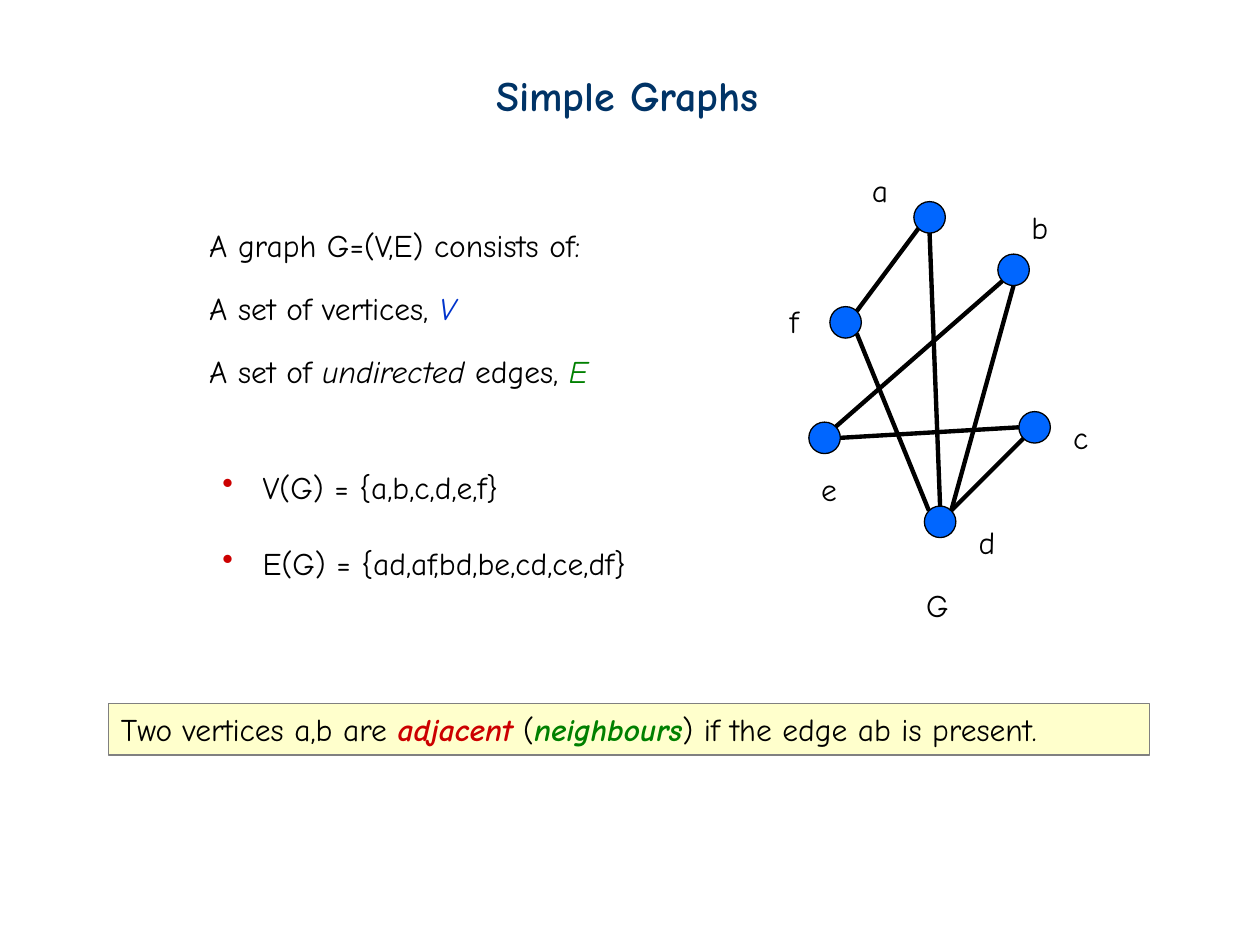
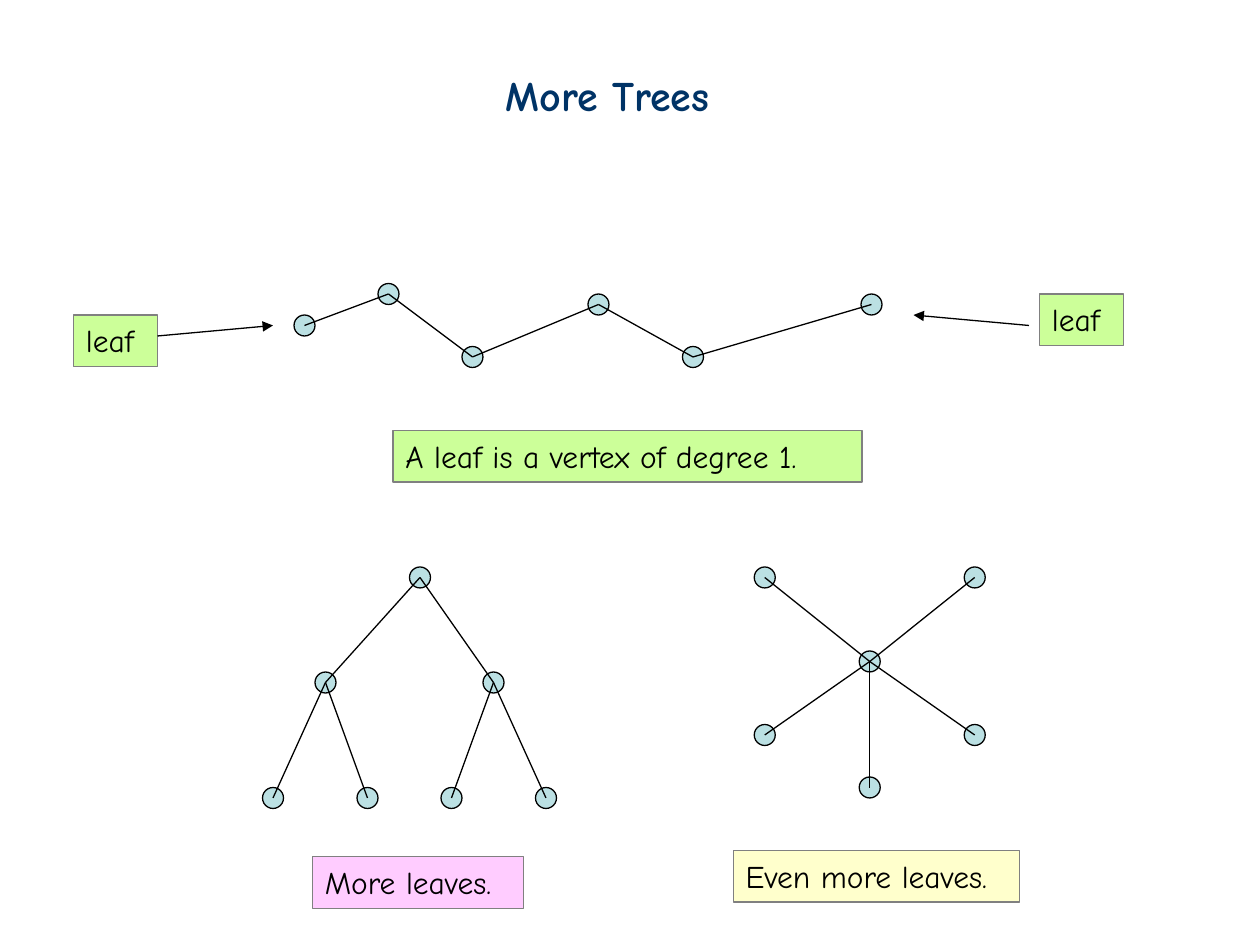
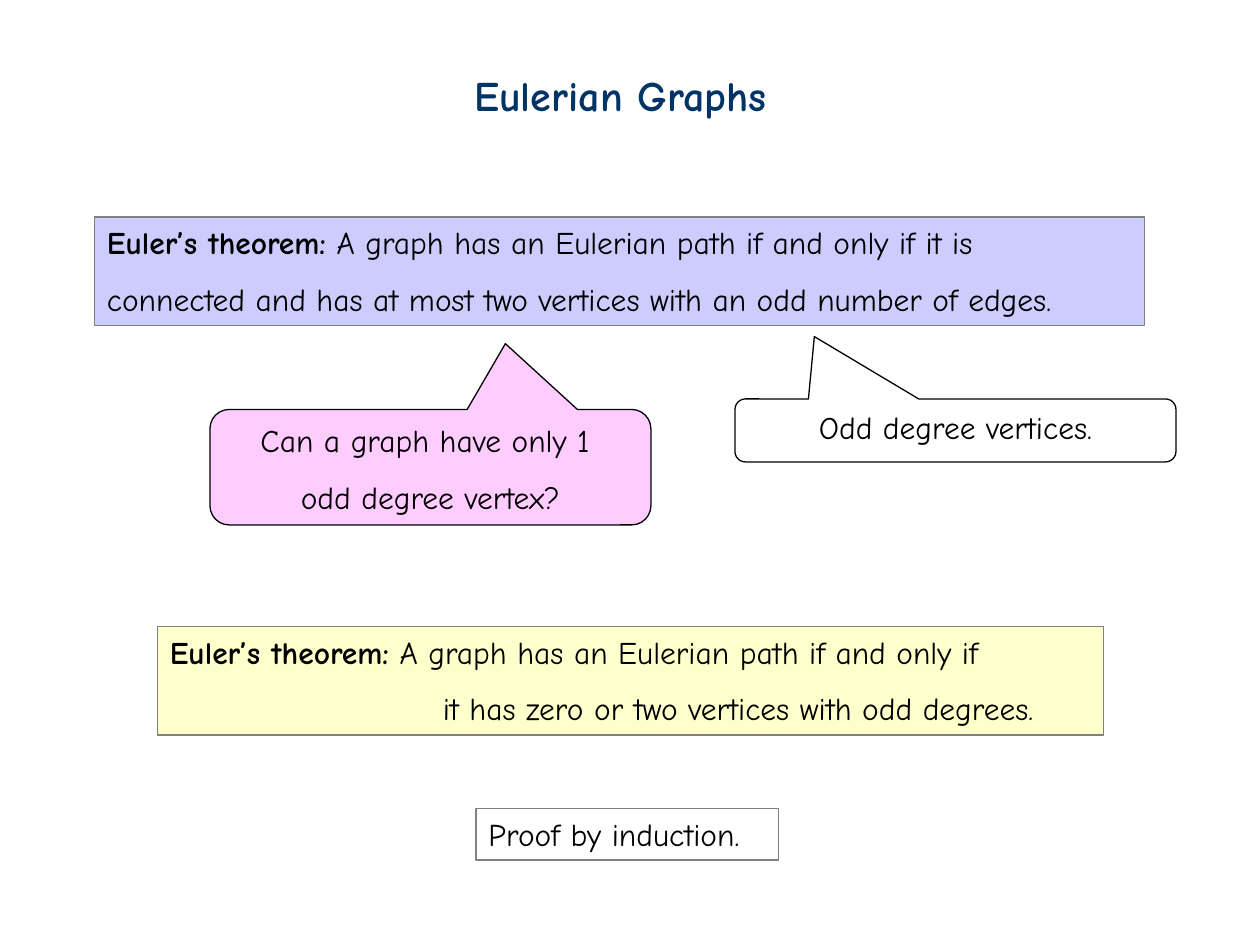
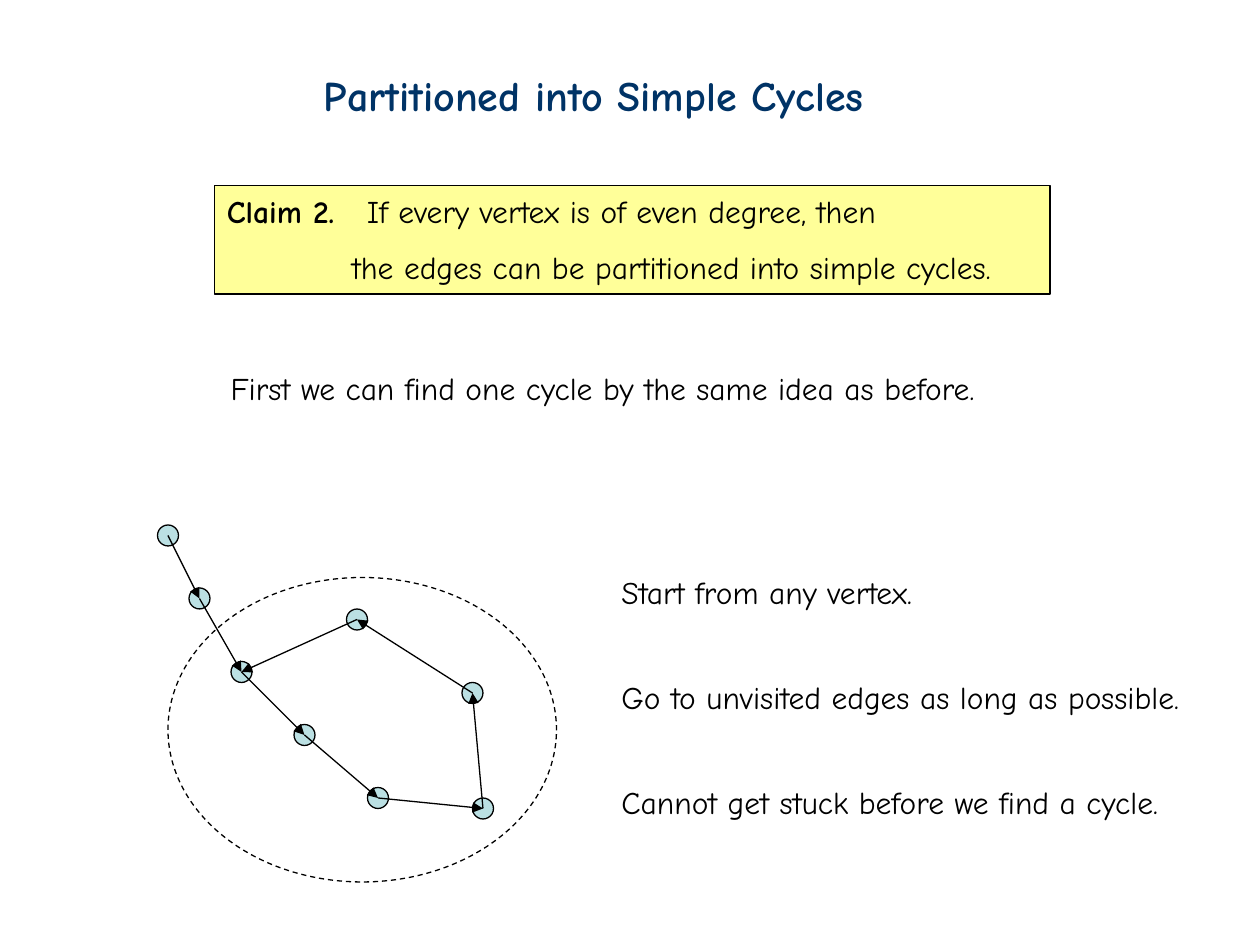
from dataclasses import dataclass
from itertools import pairwise

from lxml.etree import SubElement
from pptx import Presentation
from pptx.dml.color import RGBColor
from pptx.enum.dml import MSO_LINE
from pptx.enum.shapes import MSO_CONNECTOR, MSO_SHAPE
from pptx.enum.text import MSO_ANCHOR, PP_ALIGN
from pptx.oxml.ns import qn
from pptx.util import Pt


@dataclass(frozen=True)
class Theme:
    font: str = "Comic Neue"
    title_size: float = 24
    body_size: float = 18
    title: str = "003366"
    ink: str = "000000"
    border: str = "808080"
    red: str = "CC0000"
    green: str = "008000"
    blue: str = "0033CC"
    vertex: str = "0066FF"
    pale_vertex: str = "BBE0E3"
    cream: str = "FFFFCC"
    yellow: str = "FFFF99"
    lime: str = "CCFF99"
    pink: str = "FFCCFF"
    lilac: str = "CCCCFF"
    thin: float = 0.75
    thick: float = 2.5


T = Theme()


@dataclass
class Run:
    text: str
    color: str = T.ink
    bold: bool = False
    italic: bool = False
    size: float = T.body_size


@dataclass
class Para:
    runs: list
    spacing: float = 1.0
    before: float = 0
    margin: float = 0
    indent: float = 0
    tab: float = 0
    bullet: str = ""
    align: PP_ALIGN = PP_ALIGN.LEFT


DIAGONAL = 0.71
SITES = {
    "": (0, 0),
    "N": (0, -1), "S": (0, 1), "W": (-1, 0), "E": (1, 0),
    "NW": (-DIAGONAL, -DIAGONAL), "NE": (DIAGONAL, -DIAGONAL),
    "SW": (-DIAGONAL, DIAGONAL), "SE": (DIAGONAL, DIAGONAL),
}


def rgb(color):
    return RGBColor.from_string(color)


def format_para(p, para):
    p.alignment = para.align
    if para.spacing != 1:
        p.line_spacing = para.spacing
    if para.before:
        p.space_before = Pt(para.before)
    pPr = p._p.get_or_add_pPr()
    if para.margin or para.indent:
        pPr.set("marL", str(Pt(para.margin)))
        pPr.set("indent", str(Pt(para.indent)))
    if para.bullet:
        SubElement(SubElement(pPr, qn("a:buClr")), qn("a:srgbClr"), val=T.red)
        SubElement(pPr, qn("a:buChar"), char=para.bullet)
    if para.tab:
        tabs = SubElement(pPr, qn("a:tabLst"))
        SubElement(tabs, qn("a:tab"), pos=str(Pt(para.tab)), algn="l")


def write(sp, paras):
    tf = sp.text_frame
    tf.word_wrap = True
    tf.vertical_anchor = MSO_ANCHOR.TOP
    for i, para in enumerate(paras):
        p = tf.add_paragraph() if i else tf.paragraphs[0]
        format_para(p, para)
        for run in para.runs:
            r = p.add_run()
            r.text = run.text
            r.font.name = T.font
            r.font.size = Pt(run.size)
            r.font.bold = run.bold
            r.font.italic = run.italic
            r.font.color.rgb = rgb(run.color)


def text(s, box, *paras):
    write(s.shapes.add_textbox(*map(Pt, box)), paras)


def line_of(content):
    return Para([Run(content)])


def title(s, left, width, content):
    run = Run(content, T.title, bold=True, size=T.title_size)
    text(s, (left, 36, width, 36), Para([run]))


def shape(s, kind, box, fill=None, line=T.ink):
    sp = s.shapes.add_shape(kind, *map(Pt, box))
    sp.shadow.inherit = False
    if fill:
        sp.fill.solid()
        sp.fill.fore_color.rgb = rgb(fill)
    else:
        sp.fill.background()
    sp.line.color.rgb = rgb(line)
    sp.line.width = Pt(T.thin)
    return sp


def panel(s, box, fill, *paras, line=T.border):
    write(shape(s, MSO_SHAPE.RECTANGLE, box, fill, line), paras)


def note(s, left, top, width, fill, content):
    panel(s, (left, top, width, 29.5), fill, line_of(content))


def callout(s, box, fill, pointer, *paras):
    sp = shape(s, MSO_SHAPE.ROUNDED_RECTANGULAR_CALLOUT, box, fill)
    sp.adjustments[0], sp.adjustments[1] = pointer
    write(sp, paras)


def edge(s, start, end, width=T.thin, arrow=False):
    cx = s.shapes.add_connector(MSO_CONNECTOR.STRAIGHT, *map(Pt, (*start, *end)))
    cx.line.color.rgb = rgb(T.ink)
    cx.line.width = Pt(width)
    if arrow:
        SubElement(cx.line._get_or_add_ln(), qn("a:tailEnd"), type="triangle")
    SubElement(cx._element.spPr, qn("a:effectLst"))


def graph(s, origin, nodes, edges, size=12, fill=T.pale_vertex,
          width=T.thin, arrow=False):
    """Nodes map names to centres; an edge end is "name" or "name.SITE"."""
    left, top = origin

    def place(end):
        name, _, site = end.partition(".")
        (x, y), (dx, dy) = nodes[name], SITES[site]
        return left + x + dx * size / 2, top + y + dy * size / 2

    for name in nodes:
        x, y = place(name)
        shape(s, MSO_SHAPE.OVAL, (x - size / 2, y - size / 2, size, size), fill)
    for start, end in edges:
        edge(s, place(start), place(end), width, arrow)


def labelled_graph(s, left, top):
    nodes = {"a": (69, 9), "b": (117, 39), "c": (129, 129),
             "d": (75, 183), "e": (9, 135), "f": (21, 69)}
    edges = [("e.NE", "b.SW"), ("e.E", "c.W"), ("f.NE", "a.SW"),
             ("d.NE", "b.S"), ("d.NE", "c.SW"), ("d.N", "a.S"),
             ("f.SE", "d.NW")]
    labels = {"a": (29, -21), "b": (120, 0), "c": (144, 120), "d": (90, 180),
              "e": (0, 150), "f": (-18, 54), "G": (60, 216)}
    graph(s, (left, top), nodes, edges, 18, T.vertex, T.thick)
    for name, (x, y) in labels.items():
        text(s, (left + x, top + y, 26, 29), line_of(name))


def path_tree(s, left, top):
    centres = [(6, 24), (54, 6), (102, 42), (174, 12), (228, 42), (330, 12)]
    nodes = dict(zip("abcdef", centres))
    graph(s, (left, top), nodes, pairwise(nodes))
    note(s, left - 126, top + 18, 48, T.lime, "leaf")
    note(s, left + 426, top + 6, 48, T.lime, "leaf")
    edge(s, (left - 78, top + 30), (left - 12, top + 24), arrow=True)
    edge(s, (left + 420, top + 24), (left + 354, top + 18), arrow=True)


def binary_tree(s, left, top):
    nodes = {"root": (90, 6), "l": (36, 66), "r": (132, 66)}
    nodes |= {leaf: (x, 132) for leaf, x in
              zip(("ll", "lr", "rl", "rr"), (6, 60, 108, 162))}
    edges = [(name[:-1] or "root", name) for name in nodes if name != "root"]
    graph(s, (left, top), nodes, edges)


def star_tree(s, left, top):
    nodes = {"hub": (66, 54), "nw": (6, 6), "ne": (126, 6),
             "sw": (6, 96), "s": (66, 126), "se": (126, 96)}
    graph(s, (left, top), nodes,
          [("hub", name) for name in nodes if name != "hub"])


def cycle_walk(s, left, top):
    centres = [(6, 6), (24, 42), (48, 84), (84, 120),
               (126, 156), (186, 162), (180, 96), (114, 54)]
    nodes = dict(zip("abcdefgh", centres))
    graph(s, (left, top), nodes, [*pairwise(nodes), ("h", "c")], arrow=True)
    ring = shape(s, MSO_SHAPE.OVAL, (left + 6, top + 30, 222, 174))
    ring.line.dash_style = MSO_LINE.DASH


def simple_graphs(s):
    title(s, 276.5, 179, "Simple Graphs")
    hang = dict(margin=27, indent=-27)
    spaced = dict(spacing=1.5, before=3.6, **hang)
    text(s, (112.5, 125.5, 271, 114.5),
         Para([Run("A graph G=(V,E) consists of:")], **hang),
         Para([Run("A set of vertices, "), Run("V", T.blue, italic=True)],
              **spaced),
         Para([Run("A set of"), Run(" undirected", italic=True),
               Run(" edges, "), Run("E", T.green, italic=True)], **spaced))
    bullet = dict(bullet="•", margin=23, indent=-23)
    text(s, (120, 264, 266, 72),
         Para([Run("V(G) = {a,b,c,d,e,f}")], **bullet),
         Para([Run("E(G) = {ad,af,bd,be,cd,ce,df}")], before=21.7, **bullet))
    labelled_graph(s, 462.2, 115.2)
    panel(s, (62, 402, 595, 29.5), T.cream,
          Para([Run("Two vertices a,b are "),
                Run("adjacent", T.red, True, True), Run(" ("),
                Run("neighbours", T.green, True, True),
                Run(") if the edge ab is present.")]))


def more_trees(s):
    title(s, 282, 150.5, "More Trees")
    path_tree(s, 168, 162)
    note(s, 224.6, 246, 268, T.lime, "A leaf is a vertex of degree 1.")
    binary_tree(s, 150, 324)
    note(s, 178.5, 489.5, 120.5, T.pink, "More leaves.")
    star_tree(s, 431, 324)
    note(s, 419, 486, 163.5, T.cream, "Even more leaves.")


def eulerian_graphs(s):
    title(s, 264, 196.5, "Eulerian Graphs")
    theorem = Run("Euler’s theorem:", bold=True)
    claim = " A graph has an Eulerian path if and only if"
    panel(s, (54, 124, 600, 62), T.lilac,
          Para([theorem, Run(claim + " it is")]),
          Para([Run("connected and has at most two vertices "
                    "with an odd number of edges.")], spacing=1.5))
    panel(s, (90, 358, 540.5, 62), T.cream,
          Para([theorem, Run(claim)]),
          Para([Run("it has zero or two vertices with odd degrees.")],
               spacing=1.5, margin=156))
    centred = dict(align=PP_ALIGN.CENTER)
    callout(s, (120, 234, 252, 66), T.pink, (0.17, -1.07),
            Para([Run("Can a graph have only 1 ")], **centred),
            Para([Run("odd degree vertex?")], spacing=1.5, **centred))
    callout(s, (420, 228, 252, 36), None, (-0.32, -1.49),
            Para([Run("Odd degree vertices.")], **centred))
    note(s, 272, 462, 173, None, "Proof by induction.")


def simple_cycles(s):
    title(s, 178, 362, "Partitioned into Simple Cycles")
    panel(s, (122.5, 106, 477.5, 62), T.yellow,
          Para([Run("Claim 2.", bold=True),
                Run("\tIf every vertex is of even degree, then")], tab=80),
          Para([Run("the edges can be partitioned into simple cycles.")],
               spacing=1.5, margin=71.5),
          line=T.ink)
    text(s, (124.7, 207.5, 476.5, 29),
         line_of("First we can find one cycle by the same idea as before."))
    cycle_walk(s, 90, 300)
    steps = ["Start from any vertex.",
             "Go to unvisited edges as long as possible.",
             "Cannot get stuck before we find a cycle."]
    for i, step in enumerate(steps):
        text(s, (348, 324 + 60 * i, 356, 29), line_of(step))


def main():
    prs = Presentation()
    prs.slide_width, prs.slide_height = Pt(720), Pt(540)
    blank = prs.slide_layouts[6]
    for build in (simple_graphs, more_trees, eulerian_graphs, simple_cycles):
        build(prs.slides.add_slide(blank))
    prs.save("out.pptx")


if __name__ == "__main__":
    main()
